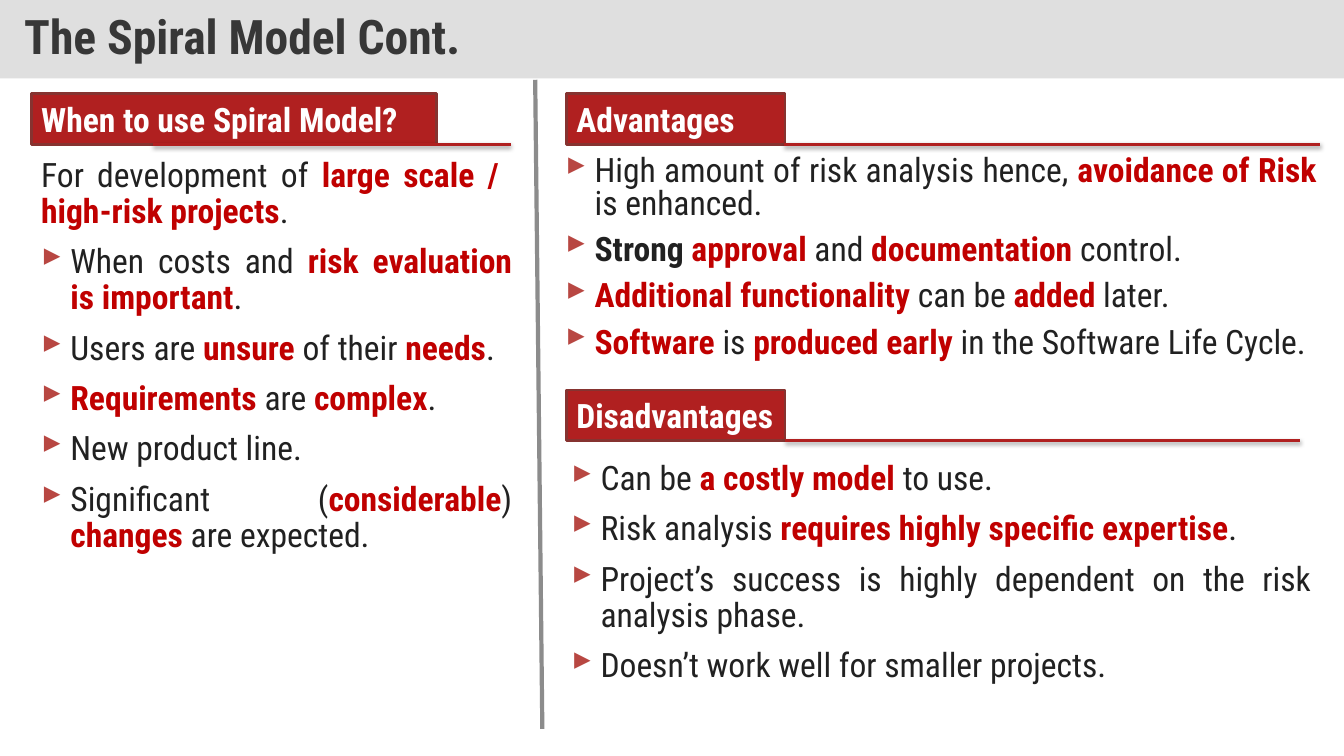
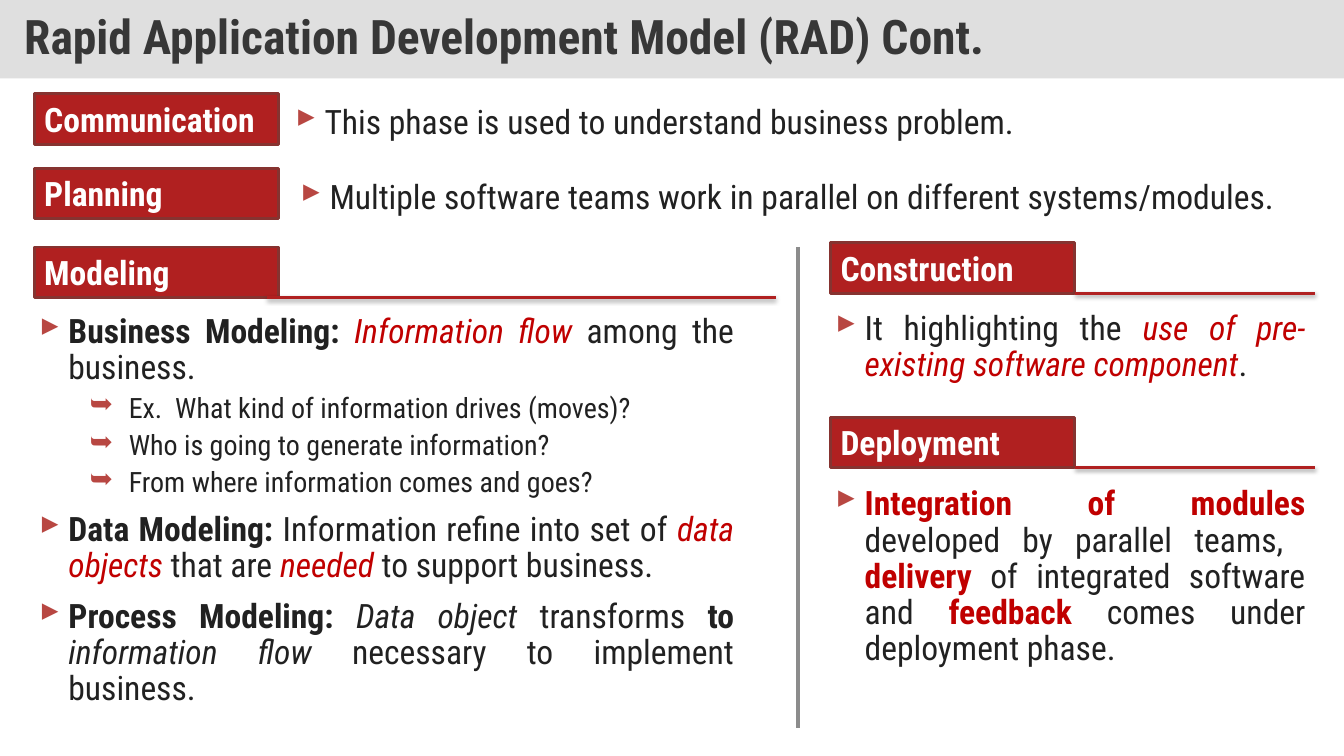
"""Build two slides on the spiral and RAD process models."""
from lxml import etree
from pptx import Presentation
from pptx.dml.color import RGBColor
from pptx.enum.shapes import MSO_CONNECTOR as CONN, MSO_SHAPE as SHAPE
from pptx.enum.text import MSO_ANCHOR as ANCHOR, MSO_AUTO_SIZE as AUTO, PP_ALIGN as ALIGN
from pptx.oxml.ns import qn
from pptx.util import Pt

FONT = "Roboto Condensed"
WHITE = RGBColor(0xFF, 0xFF, 0xFF)
BAND = RGBColor(0xC0, 0xC0, 0xC0)
TITLE = RGBColor(0x37, 0x37, 0x37)
INK = RGBColor(0x21, 0x21, 0x21)
RED = RGBColor(0xC0, 0x00, 0x00)
TAG = RGBColor(0xB0, 0x20, 0x20)
TAG_EDGE = RGBColor(0x86, 0x33, 0x30)
BULLET = RGBColor(0xB8, 0x47, 0x42)
GREY = RGBColor(0x8C, 0x8C, 0x8C)
BLACK = RGBColor(0, 0, 0)

WIDTH, HEIGHT = 960, 540
TITLE_H, TAG_H = 56, 36

STRONG = {"color": RED, "bold": True}
SLANT = {"color": RED, "italic": True}
BOLD = {"bold": True}
ITALIC = {"italic": True}


def add_xml(parent, tag, **attrs):
    return etree.SubElement(parent, qn(tag), {k: str(v) for k, v in attrs.items()})


def add_run(p, text, size=24, color=INK, bold=False, italic=False):
    r = p.add_run()
    r.text = text
    f = r.font
    f.name, f.size, f.bold, f.italic = FONT, Pt(size), bold, italic
    f.color.rgb = color


def set_insets(tf, x, y):
    tf.margin_left = tf.margin_right = Pt(x)
    tf.margin_top = tf.margin_bottom = Pt(y)


def add_box(s, x, y, w, h, fill):
    sp = s.shapes.add_shape(SHAPE.RECTANGLE, Pt(x), Pt(y), Pt(w), Pt(h))
    sp.shadow.inherit = False
    sp.fill.solid()
    sp.fill.fore_color.rgb = fill
    sp.text_frame.paragraphs[0].alignment = ALIGN.LEFT
    return sp


def add_line(s, x1, y1, x2, y2, color, width, shadow=False):
    ln = s.shapes.add_connector(CONN.STRAIGHT, Pt(x1), Pt(y1), Pt(x2), Pt(y2))
    ln.line.color.rgb = color
    ln.line.width = Pt(width)
    effects = add_xml(ln._element.spPr, "a:effectLst")
    if shadow:
        shade = add_xml(effects, "a:outerShdw", blurRad=Pt(3.1), dist=Pt(1.6),
                        dir=5400000, rotWithShape=0)
        add_xml(add_xml(shade, "a:srgbClr", val=BLACK), "a:alpha", val=38000)


def add_title(s, text):
    sp = add_box(s, 0, 0, WIDTH, TITLE_H, BAND)
    sp.line.fill.background()
    color = sp._element.spPr.find(qn("a:solidFill"))[0]
    add_xml(color, "a:alpha", val=50000)
    tf = sp.text_frame
    tf.vertical_anchor = ANCHOR.MIDDLE
    set_insets(tf, 17.3, 8.6)
    p = tf.paragraphs[0]
    p.line_spacing = 0.9
    add_run(p, text, size=34, color=TITLE, bold=True)


def add_tag(s, text, x, y, w, rule=None):
    sp = add_box(s, x, y, w, TAG_H, TAG)
    sp.line.color.rgb = TAG_EDGE
    sp.line.width = Pt(2)
    tf = sp.text_frame
    tf.vertical_anchor = ANCHOR.TOP
    tf.auto_size = AUTO.SHAPE_TO_FIT_TEXT
    set_insets(tf, 7.2, 3.6)
    add_run(tf.paragraphs[0], text, color=WHITE, bold=True)
    if rule:
        add_line(s, rule[0], y + TAG_H, rule[1], y + TAG_H, TAG, 2, shadow=True)


def set_bullet(p, char, left, hang):
    pPr = p._p.get_or_add_pPr()
    pPr.set("marL", str(Pt(left)))
    pPr.set("indent", str(Pt(-hang)))
    add_xml(add_xml(pPr, "a:buClr"), "a:srgbClr", val=BULLET)
    add_xml(pPr, "a:buChar", char=char)


def plain(*runs):
    return 0, runs


def item(*runs):
    return 1, runs


def sub(*runs):
    return 2, runs


def add_body(s, x, y, w, h, paragraphs, spacing=0.9):
    tf = s.shapes.add_textbox(Pt(x), Pt(y), Pt(w), Pt(h)).text_frame
    tf.word_wrap = True
    set_insets(tf, 7.2, 3.6)
    for i, (kind, runs) in enumerate(paragraphs):
        p = tf.add_paragraph() if i else tf.paragraphs[0]
        p.alignment = ALIGN.JUSTIFY
        p.line_spacing = spacing
        p.space_before = Pt((10, 10, 5)[kind] if i else 0)
        if kind == 1:
            set_bullet(p, "▸", 20.9, 20.9)
        elif kind == 2:
            p.level = 1
            set_bullet(p, "➥", 64, 28)
        for run in runs:
            text, style = (run, {}) if isinstance(run, str) else run
            add_run(p, text, size=20 if kind == 2 else 24, **style)


def build_spiral(s):
    add_title(s, "The Spiral Model Cont.")
    add_line(s, 382.3, 57, 387.4, 520.6, GREY, 3)

    add_tag(s, "When to use Spiral Model?", 22.3, 67, 289.4, (109.4, 365))
    add_body(s, 22.3, 109.4, 350.6, 343.4, [
        plain("For development of ", ("large scale /  high-risk projects", STRONG), "."),
        item("When costs and ", ("risk evaluation is important", STRONG), "."),
        item("Users are ", ("unsure ", STRONG), "of their ", ("needs", STRONG), "."),
        item(("Requirements ", STRONG), "are ", ("complex", STRONG), "."),
        item("New product line."),
        item("Significant (", ("considerable", STRONG), ") ", ("changes ", STRONG),
             "are expected."),
    ])

    add_tag(s, "Advantages", 404.6, 67, 156.2, (560.2, 943.2))
    add_body(s, 396.7, 108.7, 550.8, 180.7, [
        item("High amount of risk analysis hence, ", ("avoidance of Risk", STRONG),
             " is enhanced."),
        item(("Strong ", BOLD), ("approval ", STRONG), "and ",
             ("documentation ", STRONG), "control."),
        item(("Additional functionality ", STRONG), "can be ", ("added ", STRONG), "later."),
        item(("Software ", STRONG), "is ", ("produced early ", STRONG),
             "in the Software Life Cycle."),
    ], spacing=0.8)

    add_tag(s, "Disadvantages", 404.6, 278.6, 156.2, (560.9, 928.8))
    add_body(s, 401, 326.2, 542.9, 230.4, [
        item("Can be ", ("a costly model", STRONG), " to use."),
        item("Risk analysis ", ("requires highly specific expertise", STRONG), "."),
        item("Project’s success is highly dependent on the risk analysis phase."),
        item("Doesn’t work well for smaller projects."),
    ])


def build_rad(s):
    left, right, tag_w = 24.5, 593.3, 174.2
    add_title(s, "Rapid Application Development Model (RAD) Cont.")
    add_line(s, 570.2, 176.4, 570.2, 519.8, GREY, 3)

    add_tag(s, "Communication", left, 67, tag_w)
    add_body(s, 203.8, 72, 538.6, 43, [
        item("This phase is used to understand business problem."),
    ])

    add_tag(s, "Planning", left, 120.2, tag_w)
    add_body(s, 207.4, 125.3, 738.7, 40, [
        item("Multiple software teams work in parallel on different systems/modules."),
    ])

    add_tag(s, "Modeling", left, 176.4, tag_w, (190.8, 554.4))
    add_body(s, 20.9, 221, 510.5, 298, [
        item(("Business Modeling: ", BOLD), ("Information flow ", SLANT),
             "among the business."),
        sub("Ex.  What kind of information drives (moves)?"),
        sub("Who is going to generate information?"),
        sub("From where information comes and goes? "),
        item(("Data Modeling: ", BOLD), "Information refine into set of ",
             ("data objects ", SLANT), "that are ", ("needed ", SLANT),
             "to support business."),
        item(("Process Modeling: ", BOLD), ("Data object ", ITALIC), "transforms ",
             ("to ", BOLD), ("information flow", ITALIC),
             " necessary to implement business."),
    ])

    rule = (768.2, 939.6)
    add_tag(s, "Construction", right, 173.5, tag_w, rule)
    add_body(s, 589.7, 218.9, 349.9, 69, [
        item("It highlighting the ", ("use of pre-existing software component", SLANT), "."),
    ])

    add_tag(s, "Deployment", right, 298, tag_w, rule)
    add_body(s, 589.7, 344.2, 349.9, 69, [
        item(("Integration of modules", STRONG), " developed by parallel teams,  ",
             ("delivery", STRONG), " of integrated software and ",
             ("feedback", STRONG), " comes under deployment phase."),
    ])


def main():
    prs = Presentation()
    prs.slide_width, prs.slide_height = Pt(WIDTH), Pt(HEIGHT)
    for build in (build_spiral, build_rad):
        build(prs.slides.add_slide(prs.slide_layouts[6]))
    prs.save("out.pptx")


if __name__ == "__main__":
    main()
